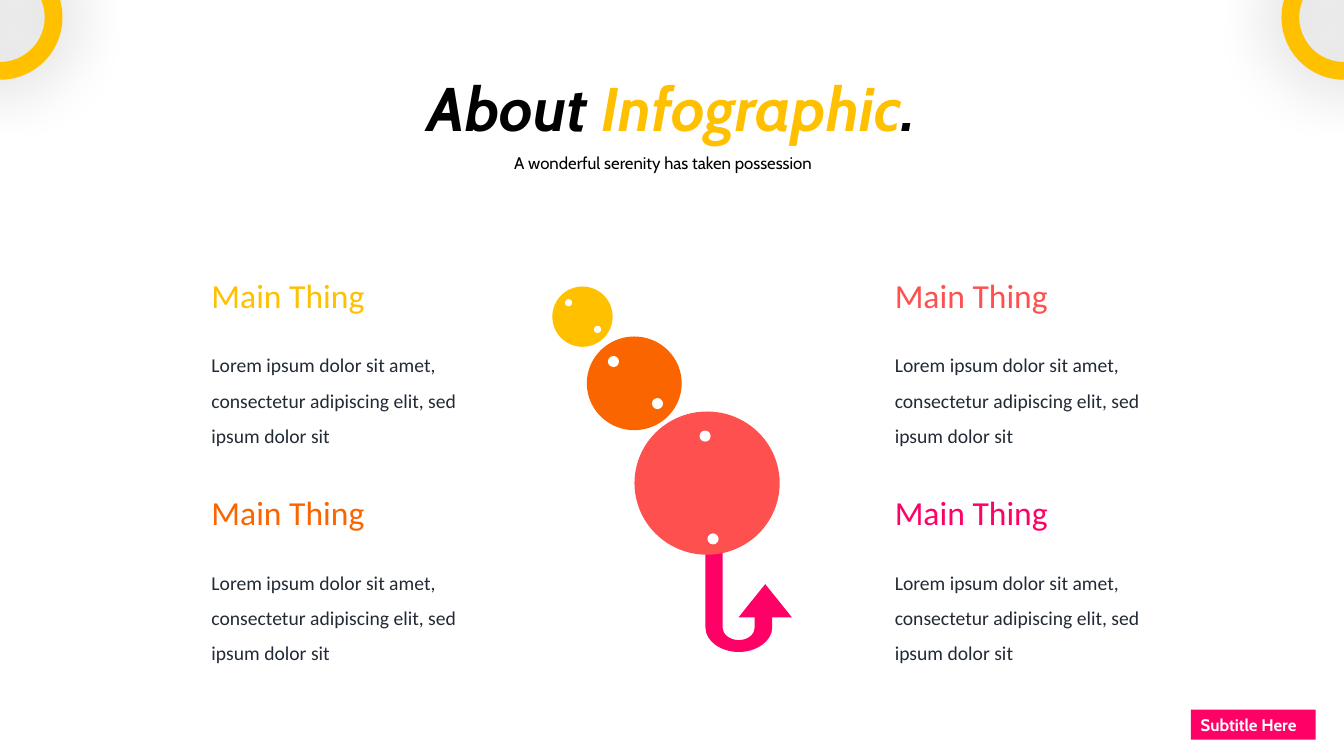
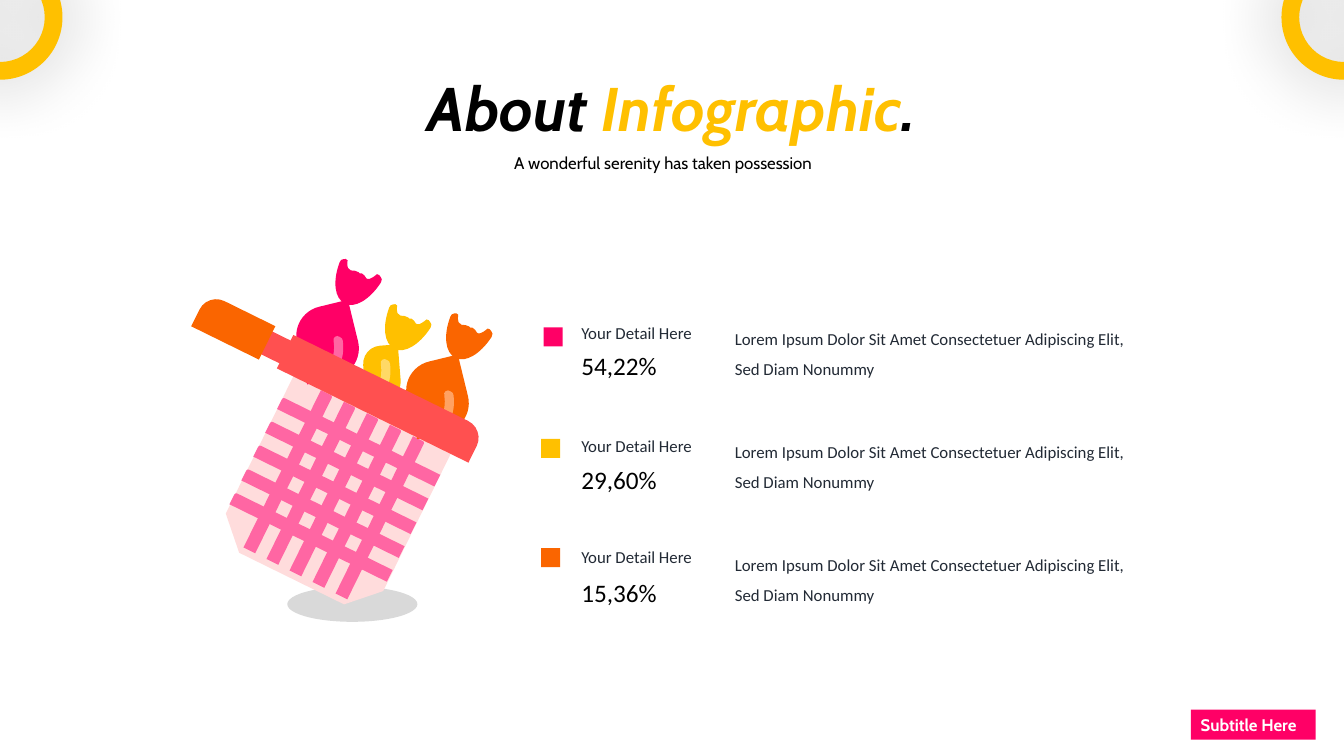
from lxml.etree import SubElement
from pptx import Presentation
from pptx.dml.color import RGBColor
from pptx.enum.shapes import MSO_SHAPE as KIND
from pptx.enum.text import MSO_AUTO_SIZE, PP_ALIGN
from pptx.oxml.ns import qn
from pptx.util import Cm, Pt

WIDE, HIGH = 33.87, 19.05
GOLD, ORANGE, CORAL, PINK = "FFC000", "FA6500", "FF5050", "FF0066"
ROSE, PALE, GREY = "FF66A3", "FFDCDC", "D9D9D9"
BLACK, WHITE, INK = "000000", "FFFFFF", "222A35"
TILT = 26.2

# Text styles
HEAD = dict(size=Pt(44), name="Cabin", bold=True, italic=True)
SUB = dict(size=Pt(12), name="Cabin")
TAG = dict(size=Pt(12), name="Cabin", bold=True)
TOPIC = dict(size=Pt(24), name="Calibri")
BODY = dict(size=Pt(14), name="Calibri")
RATE = dict(size=Pt(18), name="Calibri")
NOTE = dict(size=Pt(12), name="Calibri")

# Content shared by the slides
TITLE = [("About ", BLACK), ("Infographic", GOLD), (".", BLACK)]
LEAD = "A wonderful serenity has taken possession"
LABEL = "Subtitle Here"

# Slide 1: topics by column, then balls with their dots
LOREM = "Lorem ipsum dolor sit amet, consectetur adipiscing elit, sed ipsum dolor sit"
TOPICS = [
    (5.33, [("Main Thing", GOLD, LOREM), ("Main Thing", ORANGE, LOREM)]),
    (22.55, [("Main Thing", CORAL, LOREM), ("Main Thing", PINK, LOREM)]),
]
BALLS = [
    (ORANGE, (14.79, 8.48, 2.39, 2.36), 0.28, [(15.32, 8.97), (16.43, 10.03)]),
    (CORAL, (15.99, 10.37, 3.66, 3.61), 0.28, [(17.63, 10.85), (17.83, 13.44)]),
    (GOLD, (13.92, 7.22, 1.52, 1.52), 0.18, [(14.24, 7.54), (14.97, 8.21)]),
]

# Outlines: pairs are corners, sixes are curves (two controls and an end)
HOOK = [
    (17.78, 12.95), (17.78, 15.82),
    (17.78, 16.15, 18.16, 16.43, 18.62, 16.43),
    (19.07, 16.43, 19.46, 16.15, 19.46, 15.82),
    (19.46, 15.3), (19.02, 15.3), (19.02, 15.82),
    (19.02, 15.98, 18.85, 16.13, 18.62, 16.13),
    (18.39, 16.13, 18.21, 15.98, 18.21, 15.82),
    (18.21, 12.95),
]
TAIL = [
    (0.43, 0.08),
    (0.41, 0.05, 0.36, 0.03, 0.33, 0.05),
    (0.28, 0.05, 0.25, 0.08, 0.23, 0.13),
    (0.05, 0.61, 0.1, 1.04, 0.36, 1.17),
    (0.61, 1.3, 0.99, 1.07, 1.27, 0.64),
    (1.3, 0.58, 1.3, 0.53, 1.27, 0.51),
    (1.24, 0.46, 1.22, 0.43, 1.17, 0.43),
    (0.84, 0.71, 0.91, 0.43, 0.79, 0.41),
    (0.74, 0.41, 0.71, 0.41, 0.71, 0.38),
    (0.61, 0.28, 0.38, 0.46, 0.43, 0.08),
]
GLOW = [
    (0.1, 0.15),
    (0.13, 0.33, 0.1, 0.51, 0.03, 0.69),
    (0, 0.74, 0.03, 0.81, 0.08, 0.84),
    (0.13, 0.86, 0.2, 0.84, 0.23, 0.79),
    (0.33, 0.58, 0.36, 0.36, 0.33, 0.13),
    (0.33, 0.08, 0.3, 0.05, 0.25, 0.03),
    (0.2, 0, 0.18, 0, 0.13, 0.03),
    (0.1, 0.05, 0.08, 0.1, 0.1, 0.15),
]

# Slide 2: candies (colour, shine, body, turn, tail spot, glow spot)
CANDIES = [
    (ORANGE, "FFA263", (10.11, 9.25, 1.83, 1.5), 76.3, (11.12, 7.85), (11.1, 9.83)),
    (GOLD, "FFD966", (8.94, 8.94, 1.37, 0.91), 85.4, (9.58, 7.62), (9.5, 9.04)),
    (PINK, ROSE, (7.34, 7.87, 1.83, 1.5), 76.3, (8.33, 6.48), (8.31, 8.46)),
]
# Stripes: first spot, step, turn
WEAVE = [
    ((6.83, 10.97), (-0.3, 0.6), TILT),
    ((7.37, 12.88), (-0.58, -0.29), TILT + 90),
]
# Details: colour, rate, key spot, then tops of label, rate and note
DETAIL = "Your Detail Here"
NONUMMY = "Lorem Ipsum Dolor Sit Amet Consectetuer Adipiscing Elit, Sed Diam Nonummy"
DETAILS = [
    (PINK, "54,22%", (13.7, 8.25), 8, 8.71, 7.91),
    (GOLD, "29,60%", (13.64, 11.06), 10.86, 11.57, 10.74),
    (ORANGE, "15,36%", (13.64, 13.81), 13.66, 14.43, 13.6),
]


def tint(code):
    return RGBColor.from_string(code)


def paint(shape, code):
    shape.shadow.inherit = False
    shape.fill.solid()
    shape.fill.fore_color.rgb = tint(code)
    shape.line.fill.background()
    return shape


def draw(slide, kind, box, code, turn=0, flip=False, bends=()):
    shape = paint(slide.shapes.add_shape(kind, *map(Cm, box)), code)
    shape.rotation = turn
    for spot, bend in enumerate(bends):
        shape.adjustments[spot] = bend
    if flip:
        shape.element.spPr.get_or_add_xfrm().set("flipH", "1")
    return shape


def carve(slide, steps, code, spot=(0, 0)):
    """Draw an outline with its origin at the given spot."""
    points = [(Cm(step[i] + spot[0]), Cm(step[i + 1] + spot[1]))
              for step in steps for i in range(0, len(step), 2)]
    pen = slide.shapes.build_freeform(*points[0])
    pen.add_line_segments(points[1:], close=True)
    shape = paint(pen.convert_to_shape(), code)
    lines = iter(list(shape.element.iter(qn("a:lnTo"))))
    for step in steps[1:]:
        line = next(lines)
        if len(step) == 6:
            bend(line, next(lines), next(lines))


def bend(first, *others):
    """Merge three straight segments into one curve."""
    trail = first.getparent()
    curve = SubElement(trail, qn("a:cubicBezTo"))
    trail.replace(first, curve)
    curve.append(first[0])
    for line in others:
        curve.append(line[0])
        trail.remove(line)


def write(shape, runs, style, align=PP_ALIGN.LEFT, space=None, wrap=True, bare=False):
    frame = shape.text_frame
    frame.word_wrap = wrap
    frame.auto_size = MSO_AUTO_SIZE.SHAPE_TO_FIT_TEXT
    if bare:
        for side in ("left", "top", "right", "bottom"):
            setattr(frame, f"margin_{side}", 0)
    para = frame.paragraphs[0]
    para.alignment = align
    para.line_spacing = space
    for words, code in runs:
        run = para.add_run()
        run.text = words
        run.font.color.rgb = tint(code)
        for key, value in style.items():
            setattr(run.font, key, value)


def put(slide, box, words, code, style, **rest):
    write(slide.shapes.add_textbox(*map(Cm, box)), [(words, code)], style, **rest)


def glaze(shape):
    """Give the shape a soft black shadow all round."""
    effects = shape.element.spPr.find(qn("a:effectLst"))
    shade = SubElement(effects, qn("a:outerShdw"), blurRad=str(Pt(49)),
                       dist="0", dir="0", algn="ctr", rotWithShape="0")
    color = SubElement(shade, qn("a:srgbClr"), val=BLACK)
    SubElement(color, qn("a:alpha"), val="33000")


def trim(slide):
    """Add the title, subtitle, tag and corner rings."""
    mid = PP_ALIGN.CENTER
    write(slide.shapes.add_textbox(*map(Cm, (6.01, 1.63, 21.84, 2.13))), TITLE, HEAD, mid)
    put(slide, (11.1, 3.48, 11.23, 0.94), LEAD, BLACK, SUB, align=mid, space=1.5)
    tag = draw(slide, KIND.RECTANGLE, (30.01, 17.88, 3.15, 0.76), PINK)
    write(tag, [(LABEL, WHITE)], TAG, wrap=False)
    ring = 3.15
    for x in (0, WIDE):
        glaze(draw(slide, KIND.DONUT, (x - ring / 2, -1.14, ring, ring), GOLD, bends=[0.142]))


def crawl(slide):
    """Draw the chain of balls with its hook."""
    carve(slide, HOOK, PINK)
    draw(slide, KIND.ISOSCELES_TRIANGLE, (18.61, 14.72, 1.35, 0.84), PINK)
    for code, box, size, dots in BALLS:
        draw(slide, KIND.OVAL, box, code)
        for dot in dots:
            draw(slide, KIND.OVAL, (*dot, size, size), WHITE)


def list_topics(slide):
    for x, topics in TOPICS:
        for row, (name, code, text) in enumerate(topics):
            y = 6.93 + row * 5.47
            put(slide, (x, y, 4.27, 1.02), name, code, TOPIC, wrap=False, bare=True)
            put(slide, (x, y + 1.68, 6.71, 2.59), text, INK, BODY, space=1.5, bare=True)


def fill_basket(slide):
    corner = KIND.ROUND_1_RECTANGLE
    draw(slide, KIND.OVAL, (7.24, 14.78, 3.28, 0.89), GREY)
    draw(slide, KIND.SNIP_2_SAME_RECTANGLE, (6.22, 9.93, 4.42, 4.9), PALE, TILT + 180)
    draw(slide, KIND.RECTANGLE, (6.55, 8.53, 1.19, 0.64), CORAL, TILT)
    draw(slide, corner, (4.93, 7.75, 1.9, 0.94), ORANGE, TILT, True, [0.5])
    for (x, y), (dx, dy), turn in WEAVE:
        for i in range(5):
            draw(slide, corner, (x + i * dx, y + i * dy, 4.42, 0.33), ROSE, turn, True)
    for code, shine, box, turn, tail, glow in CANDIES:
        draw(slide, KIND.ROUND_2_DIAG_RECTANGLE, box, code, turn, True, [0.5, 0])
        carve(slide, TAIL, code, tail)
        carve(slide, GLOW, shine, glow)
    draw(slide, corner, (6.91, 9.58, 5.38, 0.94), CORAL, TILT, bends=[0.5])


def list_details(slide):
    for code, rate, key, top, mid, note in DETAILS:
        draw(slide, KIND.RECTANGLE, (*key, 0.48, 0.48), code)
        put(slide, (14.4, top, 4.78, 0.76), DETAIL, INK, NOTE)
        put(slide, (14.4, mid, 3.94, 1.02), rate, BLACK, RATE)
        put(slide, (18.27, note, 10.72, 1.73), NONUMMY, INK, NOTE, space=1.5)


def main():
    deck = Presentation()
    deck.slide_width, deck.slide_height = Cm(WIDE), Cm(HIGH)
    for steps in ((crawl, list_topics), (fill_basket, list_details)):
        slide = deck.slides.add_slide(deck.slide_layouts[6])
        for step in (*steps, trim):
            step(slide)
    deck.save("out.pptx")


if __name__ == "__main__":
    main()
